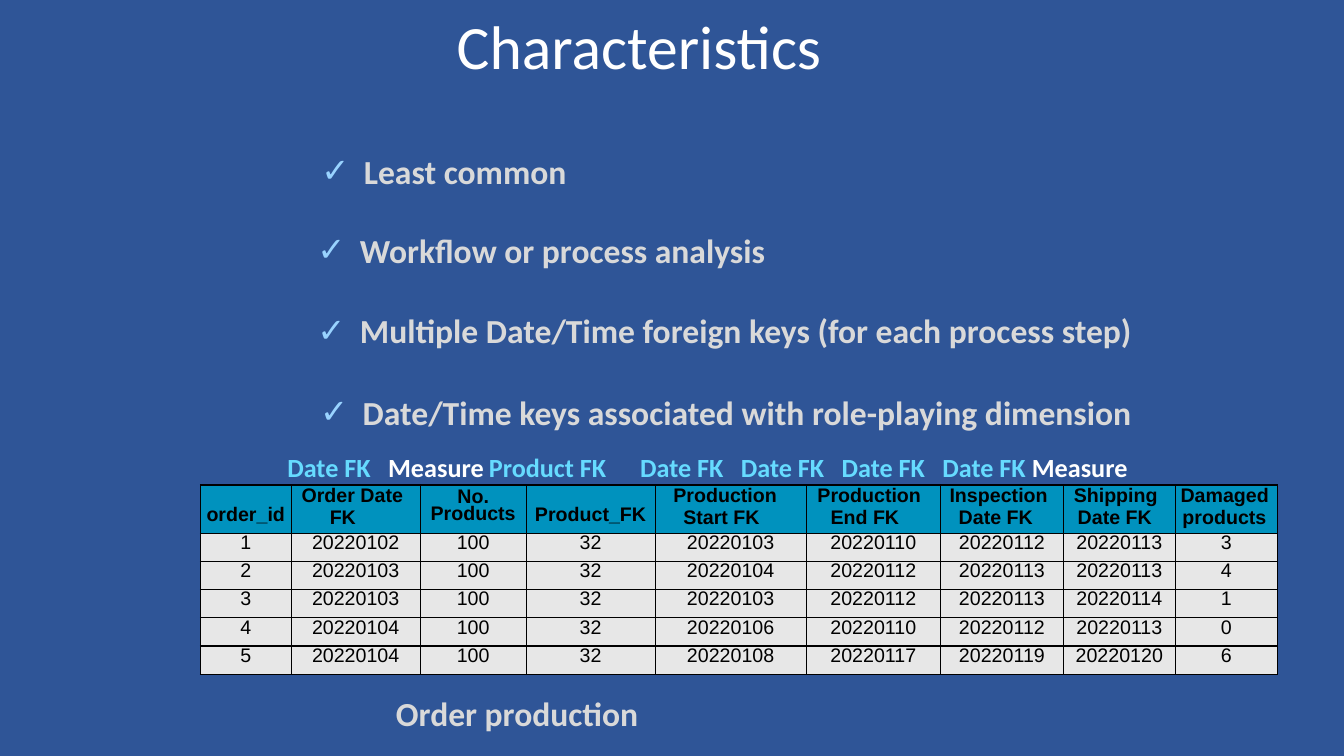
from dataclasses import dataclass
from typing import Any, Optional

from lxml import etree
from pptx import Presentation
from pptx import util as u
from pptx.dml.color import RGBColor
from pptx.enum import text as t
from pptx.oxml import ns

COLOURS = {
    "background": "2F5597", "white": "FFFFFF", "body": "D9D9D9",
    "tick": "99D3FF", "key": "66DBFF", "header": "0092BE",
    "row": "E7E7E7", "black": "000000",
}
TIGHT_LINE = 11.7
HEADER_HEIGHT, ROW_HEIGHT = 1.22, 0.71


@dataclass(frozen=True)
class Point:
    text: str
    indent: float
    before: float


@dataclass(frozen=True)
class Column:
    """One table column; a header without an indent is centred."""
    lines: tuple[str, ...]
    width: float
    values: tuple[str, ...]
    indent: float = 0
    hanging: float = 0
    top: float = 0


POINTS = [
    Point("Least common", 1.98, 0),
    Point("Workflow or process analysis", 1.88, 27.5),
    Point("Multiple Date/Time foreign keys (for each process step)", 1.88, 28.6),
    Point("Date/Time keys associated with role-playing dimension", 1.95, 29.1),
]
LABEL_TABS = [3.1, 6.2, 9.88, 13, 16.48, 19.48]
LABELS = [
    ("Date FK\t", "key"), ("Measure\t", "white"),
    ("Product FK\tDate FK\tDate FK\tDate FK\tDate FK ", "key"),
    ("Measure", "white"),
]
COLUMNS = [
    Column(("order_id",), 2.29, ("1", "2", "3", "4", "5"), top=0.62),
    Column(("Order Date FK",), 3.25,
           ("20220102", "20220103", "20220103", "20220104", "20220104"), 0.97, 0.71),
    Column(("No.", "Products"), 2.67, ("100",) * 5, top=0.03),
    Column(("Product_FK",), 3.25, ("32",) * 5, top=0.62),
    Column(("Production Start FK",), 3.81,
           ("20220103", "20220104", "20220103", "20220106", "20220108"), 0.71, 0.25),
    Column(("Production End FK",), 3.38,
           ("20220110", "20220112", "20220112", "20220110", "20220117"), 0.61, 0.33),
    Column(("Inspection Date FK",), 3.1,
           ("20220112", "20220113", "20220113", "20220112", "20220119"), 0.46, 0.23),
    Column(("Shipping Date FK",), 2.82,
           ("20220113", "20220113", "20220114", "20220113", "20220120"), 0.36, 0.1),
    Column(("Damaged products",), 2.57, ("3", "4", "1", "0", "6"), 0.18, 0.05),
]


def rgb(name: str) -> RGBColor:
    return RGBColor.from_string(COLOURS[name])


def add_colour(parent: Any, name: str) -> None:
    etree.SubElement(parent, ns.qn("a:srgbClr"), val=COLOURS[name])


def add_run(paragraph: Any, text: str, *, size: float, colour: str,
            font: str = "Calibri", bold: bool = False) -> None:
    run = paragraph.add_run()
    run.text = text
    run.font.size, run.font.name, run.font.bold = u.Pt(size), font, bold
    run.font.color.rgb = rgb(colour)


def format_paragraph(paragraph: Any, *, indent: float = 0, hanging: float = 0,
                     before: float = 0, line: Optional[float] = None,
                     align: Any = t.PP_ALIGN.LEFT, bullet: bool = False,
                     tabs: tuple[float, ...] | list[float] = ()) -> None:
    properties = paragraph._p.get_or_add_pPr()
    properties.set("marL", str(u.Cm(indent)))
    properties.set("indent", str(-u.Cm(hanging)))
    if bullet:
        add_colour(etree.SubElement(properties, ns.qn("a:buClr")), "tick")
        etree.SubElement(properties, ns.qn("a:buChar"), char="✓")
    else:
        etree.SubElement(properties, ns.qn("a:buNone"))
    if tabs:
        tab_list = etree.SubElement(properties, ns.qn("a:tabLst"))
        for stop in tabs:
            etree.SubElement(tab_list, ns.qn("a:tab"), pos=str(u.Cm(stop)), algn="l")
    paragraph.alignment = align
    paragraph.space_before, paragraph.space_after = u.Pt(before), u.Pt(0)
    paragraph.line_spacing = u.Pt(line) if line else 1.0


def next_paragraph(frame: Any) -> Any:
    """Return the frame's unused first paragraph, or a new one."""
    first = frame.paragraphs[0]
    return frame.add_paragraph() if first.runs else first


def prepare_frame(shape: Any, left: float, top: float, width: float, height: float,
                  *, inset: float = 0.05, anchor: Any = t.MSO_ANCHOR.TOP) -> Any:
    shape.left, shape.top = u.Cm(left), u.Cm(top)
    shape.width, shape.height = u.Cm(width), u.Cm(height)
    frame = shape.text_frame
    frame.word_wrap, frame.auto_size = True, t.MSO_AUTO_SIZE.NONE
    frame.vertical_anchor = anchor
    frame.margin_left = frame.margin_right = frame.margin_bottom = 0
    frame.margin_top = u.Cm(inset)
    return frame


def write_text(frame: Any, text: str, *, size: float, colour: str,
               font: str = "Calibri", bold: bool = False, **layout: Any) -> None:
    paragraph = next_paragraph(frame)
    format_paragraph(paragraph, **layout)
    add_run(paragraph, text, size=size, colour=colour, font=font, bold=bold)


def style_cell(cell: Any, fill: str, top: float) -> None:
    cell.margin_left = cell.margin_right = cell.margin_bottom = 0
    cell.margin_top = u.Cm(top)
    properties = cell._tc.get_or_add_tcPr()
    for side in ("lnL", "lnR", "lnT", "lnB"):
        border = etree.SubElement(properties, ns.qn(f"a:{side}"), w=str(u.Pt(1)))
        add_colour(etree.SubElement(border, ns.qn("a:solidFill")), "black")
    cell.fill.solid()
    cell.fill.fore_color.rgb = rgb(fill)


def write_header(cell: Any, column: Column) -> None:
    style_cell(cell, "header", column.top)
    for line in column.lines:
        centred = not column.indent
        tight = centred and line != "No."
        write_text(cell.text_frame, line, size=14, colour="black", font="Arial",
                   bold=True, indent=column.indent, hanging=column.hanging,
                   line=TIGHT_LINE if tight else None,
                   align=t.PP_ALIGN.CENTER if centred else t.PP_ALIGN.LEFT)


def add_orders(slide: Any) -> None:
    row_count = len(COLUMNS[0].values)
    orders = slide.shapes.add_table(
        row_count + 1, len(COLUMNS), u.Cm(5.05), u.Cm(12.22),
        u.Cm(sum(column.width for column in COLUMNS)),
        u.Cm(HEADER_HEIGHT + row_count * ROW_HEIGHT)).table
    orders.horz_banding = False
    for index, row in enumerate(orders.rows):
        row.height = u.Cm(ROW_HEIGHT if index else HEADER_HEIGHT)
    for index, column in enumerate(COLUMNS):
        orders.columns[index].width = u.Cm(column.width)
        write_header(orders.cell(0, index), column)
        for number, value in enumerate(column.values, 1):
            cell = orders.cell(number, index)
            style_cell(cell, "row", 0.1)
            write_text(cell.text_frame, value, size=14, colour="black", font="Arial",
                       line=TIGHT_LINE, align=t.PP_ALIGN.CENTER)


def main() -> None:
    deck = Presentation()
    deck.slide_width, deck.slide_height = u.Cm(33.87), u.Cm(19.05)
    slide = deck.slides.add_slide(deck.slide_layouts[1])
    slide.background.fill.solid()
    slide.background.fill.fore_color.rgb = rgb("background")

    title = prepare_frame(slide.shapes.title, 5.72, 0.15, 23.42, 1.93,
                          anchor=t.MSO_ANCHOR.MIDDLE)
    write_text(title, "Characteristics", size=44, colour="white", indent=5.79)

    add_orders(slide)

    caption = prepare_frame(slide.shapes.add_textbox(0, 0, 0, 0),
                            9.14, 16.99, 7.8, 1.5, inset=0.48)
    write_text(caption, "Order production", size=24, colour="body", bold=True, indent=0.84)

    body = prepare_frame(slide.placeholders[1], 7.19, 3.76, 24.43, 8.46)
    for point in POINTS:
        write_text(body, point.text, size=24, colour="body", bold=True, bullet=True,
                   indent=point.indent, hanging=1.07, before=point.before)
    labels = next_paragraph(body)
    format_paragraph(labels, indent=0.05, before=14.3, tabs=LABEL_TABS)
    for text, colour in LABELS:
        add_run(labels, text, size=18.7, colour=colour, bold=True)

    deck.save("out.pptx")


if __name__ == "__main__":
    main()
